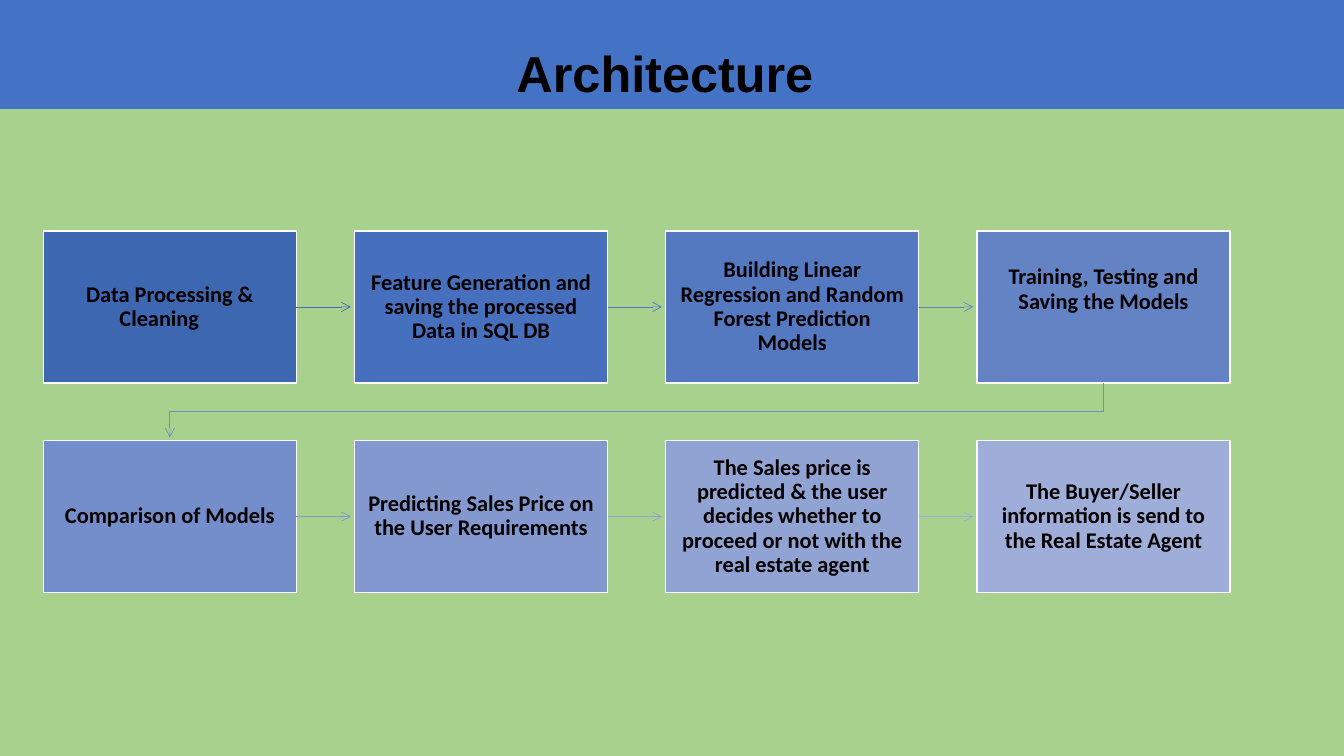
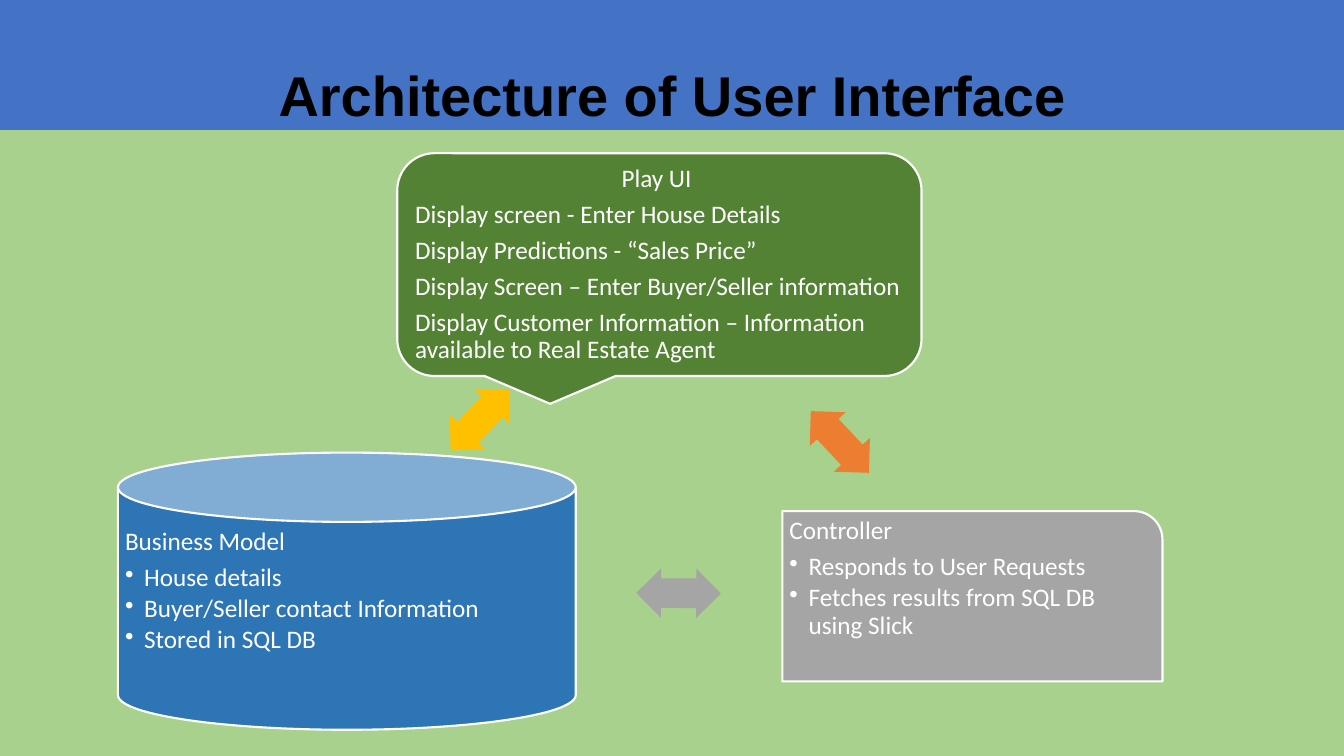
from dataclasses import dataclass

from lxml import etree
from pptx import Presentation
from pptx.dml.color import RGBColor
from pptx.enum.shapes import MSO_CONNECTOR, MSO_SHAPE
from pptx.enum.text import MSO_ANCHOR, PP_ALIGN
from pptx.oxml.ns import qn
from pptx.util import Inches, Pt

RECTANGLE = MSO_SHAPE.RECTANGLE
CALLOUT = MSO_SHAPE.ROUNDED_RECTANGULAR_CALLOUT
ROUND_CORNER = MSO_SHAPE.ROUND_1_RECTANGLE
CAN = MSO_SHAPE.CAN
DOUBLE_ARROW = MSO_SHAPE.LEFT_RIGHT_ARROW
STRAIGHT = MSO_CONNECTOR.STRAIGHT
TOP, MIDDLE, BOTTOM = MSO_ANCHOR.TOP, MSO_ANCHOR.MIDDLE, MSO_ANCHOR.BOTTOM
LEFT, CENTER = PP_ALIGN.LEFT, PP_ALIGN.CENTER
RIGHT_SIDE = 3


@dataclass(frozen=True)
class Theme:
    background: str = "A9D18E"
    band: str = "4472C4"
    dark: str = "000000"
    light: str = "FFFFFF"
    interface: str = "548235"
    model: str = "2E75B6"
    controller: str = "A5A5A5"
    orange: str = "ED7D31"
    yellow: str = "FFC000"
    steps: tuple = ("3E67B2", "466FBD", "5579C1", "6483C5",
                    "738ECA", "8298CE", "91A3D3", "9FAED8")
    links: tuple = ("416DBB", "5077C1", "6081C5", "708CC9",
                    "8097CE", "8FA2D3", "9EADD8")
    title_font: str = "Arial"
    body_font: str = "Calibri"
    step_size: int = 16
    part_size: int = 18
    line_spacing: float = 0.9
    paragraph_gap: float = 0.35
    bullet_gap: float = 0.15


THEME = Theme()

STEPS = (
    "Data Processing & Cleaning\t",
    "Feature Generation and saving the processed Data in SQL DB",
    "Building Linear Regression and Random Forest Prediction Models",
    "Training, Testing and Saving the Models",
    "Comparison of Models",
    "Predicting Sales Price on the User Requirements",
    "The Sales price is predicted & the user decides whether to proceed "
    "or not with the real estate agent",
    "The Buyer/Seller information is send to the Real Estate Agent",
)
COLUMNS = 4
FLOW_LEFT, FLOW_TOP = 0.43, 2.29
STEP_WIDTH, STEP_HEIGHT = 2.51, 1.51
COLUMN_PITCH, ROW_PITCH = 9.26 / 3, 2.08
STEP_INSET = 0.12
RAISED_STEP, RAISE = 3, 0.34
LINK_LENGTH = 0.54

INTERFACE_LINES = (
    "Display screen - Enter House Details",
    "Display Predictions - “Sales Price”",
    "Display Screen – Enter Buyer/Seller information",
    "Display Customer Information – Information available to Real Estate Agent",
)
MODEL_POINTS = ("House details", "Buyer/Seller contact Information",
                "Stored in SQL DB")
CONTROLLER_POINTS = ("Responds to User Requests",
                     "Fetches results from SQL DB using Slick")
EXCHANGES = (
    (7.91, 4.14, 46.7, THEME.orange),
    (6.31, 5.64, 180.4, THEME.controller),
    (4.34, 3.92, 313.8, THEME.yellow),
)


def apply_format(target, values):
    for name, value in values.items():
        setattr(target, name, value)


def rgb(color):
    return RGBColor.from_string(color)


def add_block(slide, kind, box, fill, outline=None, weight=1):
    block = slide.shapes.add_shape(kind, *map(Inches, box))
    block.shadow.inherit = False
    block.fill.solid()
    block.fill.fore_color.rgb = rgb(fill)
    if outline:
        block.line.color.rgb = rgb(outline)
        block.line.width = Pt(weight)
    else:
        block.line.fill.background()
    return block


def set_frame(block, anchor, sides=(0.1, 0.05, 0.1, 0.05)):
    left, top, right, bottom = map(Inches, sides)
    apply_format(block.text_frame, {
        "word_wrap": True, "vertical_anchor": anchor,
        "margin_left": left, "margin_top": top,
        "margin_right": right, "margin_bottom": bottom,
    })


def write(paragraph, text, size, color, font=THEME.body_font, bold=False,
          align=LEFT, spacing=THEME.line_spacing, gap=THEME.paragraph_gap):
    apply_format(paragraph, {
        "alignment": align, "line_spacing": spacing,
        "space_after": Pt(round(size * gap, 1)),
    })
    run = paragraph.add_run()
    run.text = text
    apply_format(run.font, {"name": font, "size": Pt(size), "bold": bold})
    run.font.color.rgb = rgb(color)


def add_bullet(paragraph):
    paragraph.level = 1
    properties = paragraph._p.get_or_add_pPr()
    indent = Inches(0.19)
    properties.set("marL", str(indent))
    properties.set("indent", str(-indent))
    etree.SubElement(properties, qn("a:buChar")).set("char", "•")


def add_title(slide, text, top, height, size, outline=None, anchor=BOTTOM,
              sides=(0.1, 0.05, 0.1, 0.05), spacing=THEME.line_spacing):
    band = add_block(slide, RECTANGLE, (0, top, 13.33, height),
                     THEME.band, outline, 0.75)
    set_frame(band, anchor, sides)
    write(band.text_frame.paragraphs[0], text, size, THEME.dark,
          THEME.title_font, True, CENTER, spacing, 0)


def style_link(link, color):
    link.line.color.rgb = rgb(color)
    link.line.width = Pt(0.5)
    properties = link._element.spPr
    head = etree.SubElement(properties.find(qn("a:ln")), qn("a:tailEnd"))
    head.set("type", "arrow")
    etree.SubElement(properties, qn("a:effectLst"))


def step_position(index):
    row, column = divmod(index, COLUMNS)
    return FLOW_LEFT + column * COLUMN_PITCH, FLOW_TOP + row * ROW_PITCH


def add_step(slide, index, text):
    left, top = step_position(index)
    step = add_block(slide, RECTANGLE, (left, top, STEP_WIDTH, STEP_HEIGHT),
                     THEME.steps[index], THEME.light)
    bottom = STEP_INSET + (RAISE if index == RAISED_STEP else 0)
    set_frame(step, MIDDLE, (STEP_INSET, STEP_INSET, STEP_INSET, bottom))
    write(step.text_frame.paragraphs[0], text, THEME.step_size, THEME.dark,
          bold=True, align=CENTER)
    return step


def add_row_link(slide, index, step):
    left, top = step_position(index)
    start, middle = left + STEP_WIDTH, top + STEP_HEIGHT / 2
    link = slide.shapes.add_connector(
        STRAIGHT, Inches(start), Inches(middle),
        Inches(start + LINK_LENGTH), Inches(middle))
    link.begin_connect(step, RIGHT_SIDE)
    style_link(link, THEME.links[index])


def add_row_return(slide, index):
    last_left, last_top = step_position(index)
    next_left, next_top = step_position(index + 1)
    start_x, end_x = last_left + STEP_WIDTH / 2, next_left + STEP_WIDTH / 2
    start_y, end_y = last_top + STEP_HEIGHT, next_top - 0.03
    turn_y = (start_y + next_top) / 2
    corners = [(start_x, turn_y), (end_x, turn_y), (end_x, end_y)]
    builder = slide.shapes.build_freeform(Inches(start_x), Inches(start_y))
    builder.add_line_segments(
        [(Inches(x), Inches(y)) for x, y in corners], close=False)
    link = builder.convert_to_shape()
    link.fill.background()
    style_link(link, THEME.links[index])


def add_part(slide, kind, box, fill, heading, lines, bulleted=True):
    part = add_block(slide, kind, box, fill, THEME.light, 1.5)
    set_frame(part, TOP if bulleted else MIDDLE, (0.07,) * 4)
    frame = part.text_frame
    write(frame.paragraphs[0], heading, THEME.part_size, THEME.light,
          align=LEFT if bulleted else CENTER)
    gap = THEME.bullet_gap if bulleted else THEME.paragraph_gap
    for line in lines:
        paragraph = frame.add_paragraph()
        write(paragraph, line, THEME.part_size, THEME.light, gap=gap)
        if bulleted:
            add_bullet(paragraph)


def add_exchange(slide, left, top, rotation, color):
    exchange = add_block(slide, DOUBLE_ARROW, (left, top, 0.84, 0.49), color)
    exchange.rotation = rotation
    exchange.adjustments[0] = 0.6
    exchange.adjustments[1] = 0.5


def build_architecture(slide):
    add_title(slide, "Architecture ", -0.14, 1.22, 36)
    for index, text in enumerate(STEPS):
        step = add_step(slide, index, text)
        if (index + 1) % COLUMNS:
            add_row_link(slide, index, step)
        elif index + 1 < len(STEPS):
            add_row_return(slide, index)


def build_user_interface(slide):
    add_title(slide, "Architecture of User Interface", -0.07, 1.36, 40,
              THEME.band, TOP, (0,) * 4, 2.0)
    add_part(slide, CALLOUT, (3.94, 1.52, 5.2, 2.21), THEME.interface,
             "Play UI ", INTERFACE_LINES, bulleted=False)
    add_part(slide, ROUND_CORNER, (7.76, 5.07, 3.77, 1.69), THEME.controller,
             "Controller", CONTROLLER_POINTS)
    add_part(slide, CAN, (1.17, 4.49, 4.54, 2.75), THEME.model,
             "Business Model", MODEL_POINTS)
    for exchange in EXCHANGES:
        add_exchange(slide, *exchange)


def main():
    deck = Presentation()
    apply_format(deck, {"slide_width": Inches(13.33),
                        "slide_height": Inches(7.5)})
    backdrop = deck.slide_master.background.fill
    backdrop.solid()
    backdrop.fore_color.rgb = rgb(THEME.background)
    blank = deck.slide_layouts[6]
    for build in (build_architecture, build_user_interface):
        build(deck.slides.add_slide(blank))
    deck.save("out.pptx")


if __name__ == "__main__":
    main()
